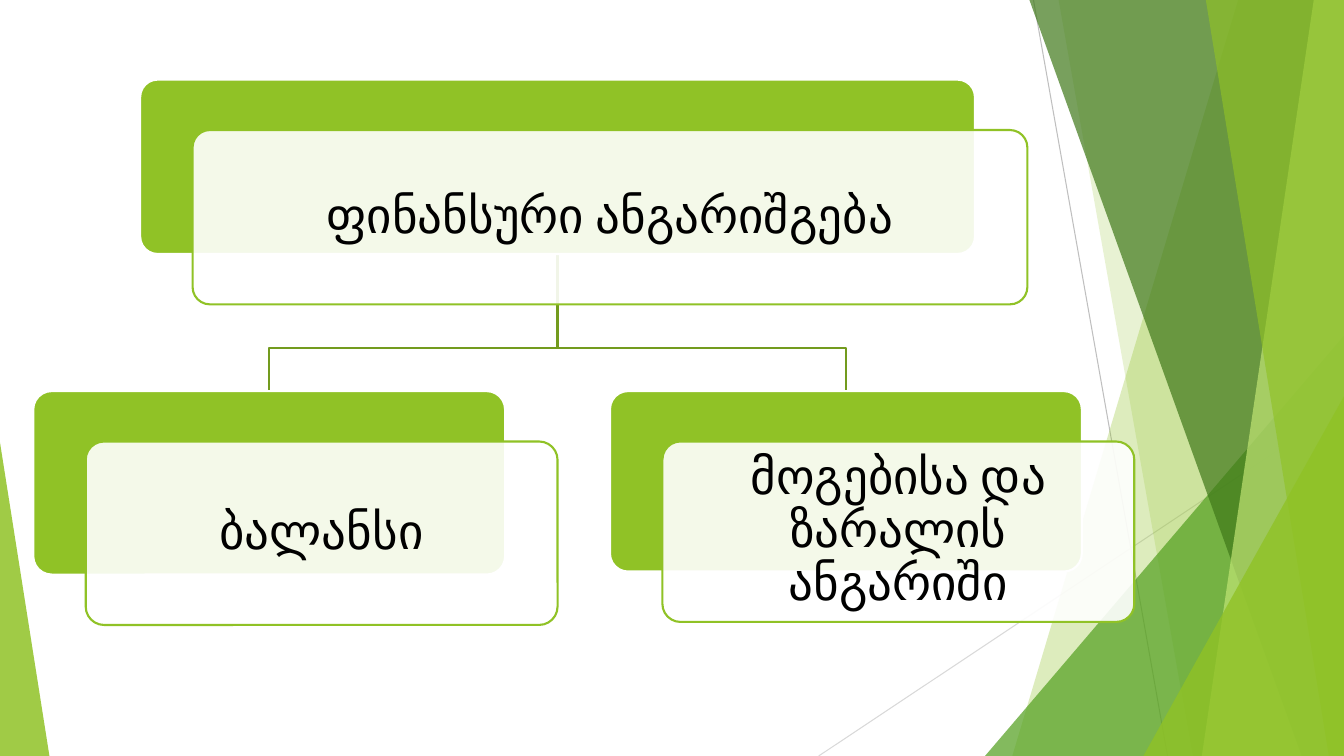
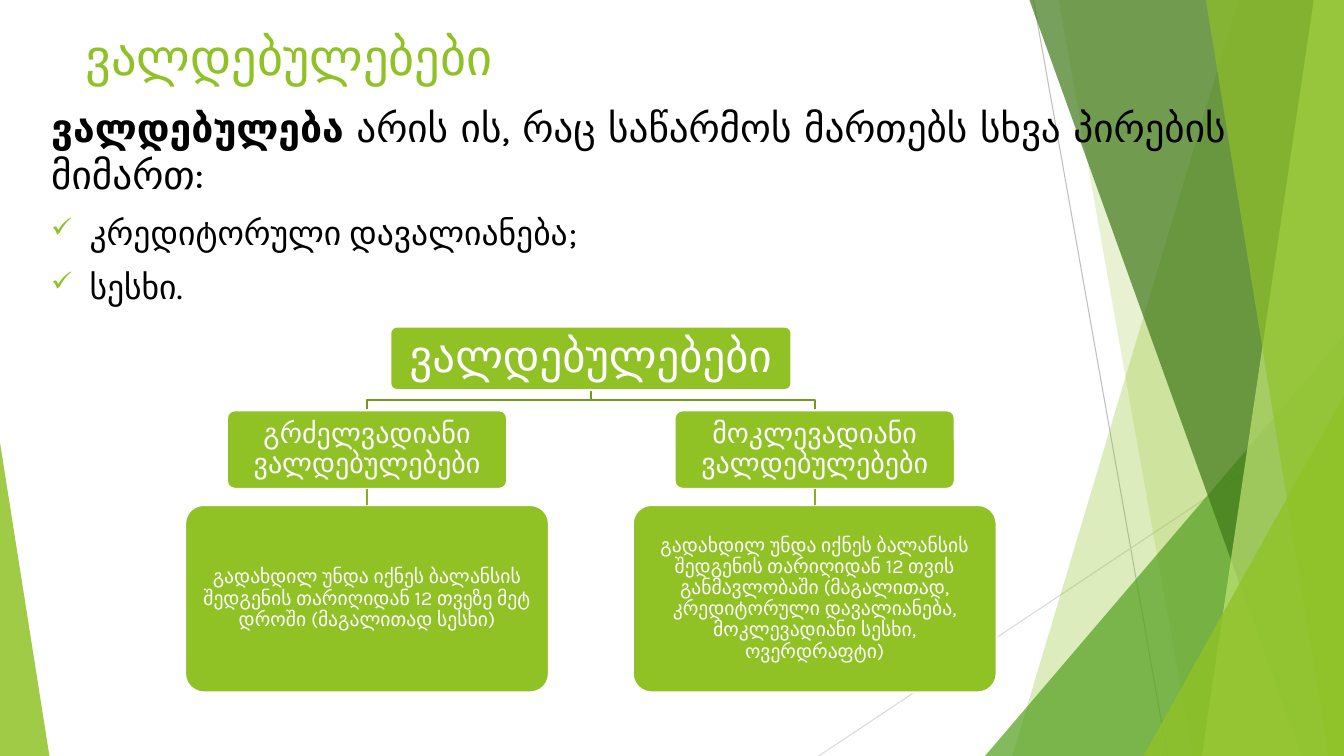
from lxml import etree
from pptx import Presentation
from pptx.dml.color import RGBColor
from pptx.enum.shapes import MSO_CONNECTOR as CONNECTOR, MSO_SHAPE as SHAPE
from pptx.enum.text import MSO_ANCHOR as ANCHOR, PP_ALIGN as ALIGN
from pptx.oxml.ns import qn
from pptx.util import Inches, Pt

WIDTH, HEIGHT = 13.33, 7.5
FONT = "Karla"
GREEN, MID_GREEN, DARK_GREEN, PALE_GREEN = "90C226", "54A021", "3F7819", "C0E474"
BRANCH_GREEN, STEM_GREEN = "739B1E", "83B022"
WHITE, BLACK = "FFFFFF", "000000"
TOP, BOTTOM = 0, 2


def color(hex_code):
    return RGBColor.from_string(hex_code)


def paint(shape, fill=None, opacity=100, line=None):
    """Set fill, opacity in percent and outline, and drop the shadow."""
    shape.shadow.inherit = False
    if fill:
        shape.fill.solid()
        shape.fill.fore_color.rgb = color(fill)
        if opacity < 100:
            solid = shape.fill._xPr.find(qn("a:solidFill"))
            etree.SubElement(solid[0], qn("a:alpha"), val=str(opacity * 1000))
    else:
        shape.fill.background()
    if line:
        shape.line.color.rgb = color(line)
        shape.line.width = Pt(1.5)
    else:
        shape.line.fill.background()
    return shape


def outline(slide, points, closed):
    start, *rest = [(Inches(x), Inches(y)) for x, y in points]
    builder = slide.shapes.build_freeform(*start, scale=1.0)
    builder.add_line_segments(rest, close=closed)
    return builder.convert_to_shape()


def preset(slide, kind, box, adjustment):
    shape = slide.shapes.add_shape(kind, *map(Inches, box))
    shape.adjustments[0] = adjustment
    return shape


def straight_line(slide, start, end, line, width):
    connector = slide.shapes.add_connector(
        CONNECTOR.STRAIGHT, *map(Inches, (*start, *end)))
    connector.line.color.rgb = color(line)
    connector.line.width = Pt(width)
    etree.SubElement(connector._element.spPr, qn("a:effectLst"))
    return connector


def style(paragraph, size, font_color, align=None):
    paragraph.alignment = align
    font = paragraph.font
    font.name, font.size, font.color.rgb = FONT, Pt(size), color(font_color)


def backdrop(slide):
    """Green facets at the right and left edges."""
    def panel(x_top, x_bottom, fill, opacity):
        corners = [(x_top, 0), (WIDTH, 0), (WIDTH, HEIGHT), (x_bottom, HEIGHT)]
        paint(outline(slide, corners, True), fill, opacity)

    def corner(left, width, top, apex, fill, opacity):
        box = (left, top, width, HEIGHT - top)
        paint(preset(slide, SHAPE.ISOSCELES_TRIANGLE, box, apex), fill, opacity)

    straight_line(slide, (10.25, 0), (11.58, HEIGHT), "BFBFBF", 0.75)
    straight_line(slide, (WIDTH, 4.03), (8.12, HEIGHT), "D9D9D9", 0.75)
    panel(12.28, 10.04, GREEN, 30)
    panel(10.5, 11.83, GREEN, 20)
    corner(9.77, 3.56, 3.33, 1, MID_GREEN, 72)
    panel(10.21, 12.91, DARK_GREEN, 70)
    panel(13.03, 11.92, PALE_GREEN, 70)
    panel(11.96, 13.18, GREEN, 65)
    corner(11.34, 1.99, 3.93, 1, GREEN, 80)
    corner(0, 0.49, 4.39, 0, GREEN, 85)


def centered_box(center, top, width, height):
    return center - width / 2, top, width, height


def card(slide, box, text="", size=14, margin=0.1, fill=GREEN, line=WHITE,
         opacity=100, font_color=WHITE):
    shape = paint(preset(slide, SHAPE.ROUNDED_RECTANGLE, box, 0.1),
                  fill, opacity, line)
    if text:
        frame = shape.text_frame
        frame.word_wrap = True
        frame.vertical_anchor = ANCHOR.MIDDLE
        frame.margin_left = frame.margin_right = Inches(margin)
        frame.margin_top = frame.margin_bottom = Inches(margin)
        paragraph = frame.paragraphs[0]
        paragraph.text = text
        paragraph.line_spacing = 0.9
        style(paragraph, size, font_color, ALIGN.CENTER)
    return shape


def layered_card(slide, box, text):
    """A green card with a translucent labelled card shifted over it."""
    left, top, width, height = box
    card(slide, box)
    card(slide, (left + 0.52, top + 0.5, width, height), text, 35, 0.2,
         WHITE, GREEN, 90, BLACK)


def branch(slide, start, end, bend):
    (x1, y1), (x2, y2) = start, end
    points = [(x1, y1), (x1, bend), (x2, bend), (x2, y2)]
    paint(outline(slide, points, False), line=BRANCH_GREEN)


def stem(slide, upper, lower):
    line = straight_line(slide, (0, 0), (1, 1), STEM_GREEN, 1.5)
    line.begin_connect(upper, BOTTOM)
    line.end_connect(lower, TOP)


def statement_tree(slide, center, top):
    """Financial statement and its two parts."""
    root_height, child_top, spread = 1.73, top + 3.09, 2.86
    parts = [(center - spread, 1.82, "ბალანსი"),
             (center + spread, 1.79, "მოგებისა და ზარალის ანგარიში")]
    for x, _, _ in reversed(parts):
        branch(slide, (center, top + root_height), (x, child_top),
               child_top - 0.43)
    layered_card(slide, centered_box(center, top, 8.28, root_height),
                 "ფინანსური ანგარიშგება")
    for x, height, text in parts:
        layered_card(slide, centered_box(x, child_top, 4.68, height), text)


def liability_tree(slide, center, top):
    """Liabilities by term, each with its explanation."""
    root_height, term_top, note_top, spread = 0.63, top + 0.83, top + 1.77, 2.22
    terms = [
        (center - spread, "გრძელვადიანი ვალდებულებები",
         "გადახდილ უნდა იქნეს ბალანსის შედგენის თარიღიდან 12 თვეზე მეტ "
         "დროში (მაგალითად სესხი)"),
        (center + spread, "მოკლევადიანი ვალდებულებები",
         "გადახდილ უნდა იქნეს ბალანსის შედგენის თარიღიდან 12 თვის "
         "განმავლობაში (მაგალითად, კრედიტორული დავალიანება, "
         "მოკლევადიანი სესხი, ოვერდრაფტი)"),
    ]
    for x, _, _ in terms:
        branch(slide, (center, top + root_height), (x, term_top),
               term_top - 0.1)
    card(slide, centered_box(center, top, 3.98, root_height),
         "ვალდებულებები", 32, 0.15)
    for x, name, explanation in terms:
        term = card(slide, centered_box(x, term_top, 2.78, 0.78), name, 20)
        note = card(slide, centered_box(x, note_top, 3.61, 1.86),
                    explanation, 14, 0.11)
        stem(slide, term, note)


def text_area(slide, box):
    frame = slide.shapes.add_textbox(*map(Inches, box)).text_frame
    frame.word_wrap = True
    return frame


def title(slide, text):
    heading = text_area(slide, (0.75, 0.2, 11.66, 0.8)).paragraphs[0]
    heading.text = text
    style(heading, 36, GREEN)


def add_check_bullet(paragraph):
    properties = paragraph._p.get_or_add_pPr()
    properties.set("marL", str(Inches(0.38)))
    properties.set("indent", str(Inches(-0.38)))
    tint = etree.SubElement(properties, qn("a:buClr"))
    etree.SubElement(tint, qn("a:srgbClr"), val=GREEN)
    etree.SubElement(properties, qn("a:buSzPct"), val="80000")
    etree.SubElement(properties, qn("a:buChar"), char="✓")


def definition(slide, box, term, meaning, examples):
    frame = text_area(slide, box)
    lead = frame.paragraphs[0]
    term_run = lead.add_run()
    term_run.text = term
    term_run.font.bold = True
    lead.add_run().text = meaning
    style(lead, 28, BLACK, ALIGN.JUSTIFY)
    for example in examples:
        item = frame.add_paragraph()
        item.text = example
        add_check_bullet(item)
        item.space_before = Pt(10)
        style(item, 24, BLACK, ALIGN.JUSTIFY)


def statement_slide(slide):
    statement_tree(slide, 5.53, 0.79)


def liability_slide(slide):
    title(slide, "ვალდებულებები")
    definition(slide, (0.41, 0.98, 11.85, 2.2), "ვალდებულება",
               " არის ის, რაც საწარმოს მართებს სხვა პირების მიმართ:",
               ["კრედიტორული დავალიანება;", "სესხი."])
    liability_tree(slide, 5.86, 3.24)


def main():
    deck = Presentation()
    deck.slide_width, deck.slide_height = Inches(WIDTH), Inches(HEIGHT)
    for fill_slide in (statement_slide, liability_slide):
        slide = deck.slides.add_slide(deck.slide_layouts[6])
        backdrop(slide)
        fill_slide(slide)
    deck.save("out.pptx")


if __name__ == "__main__":
    main()
